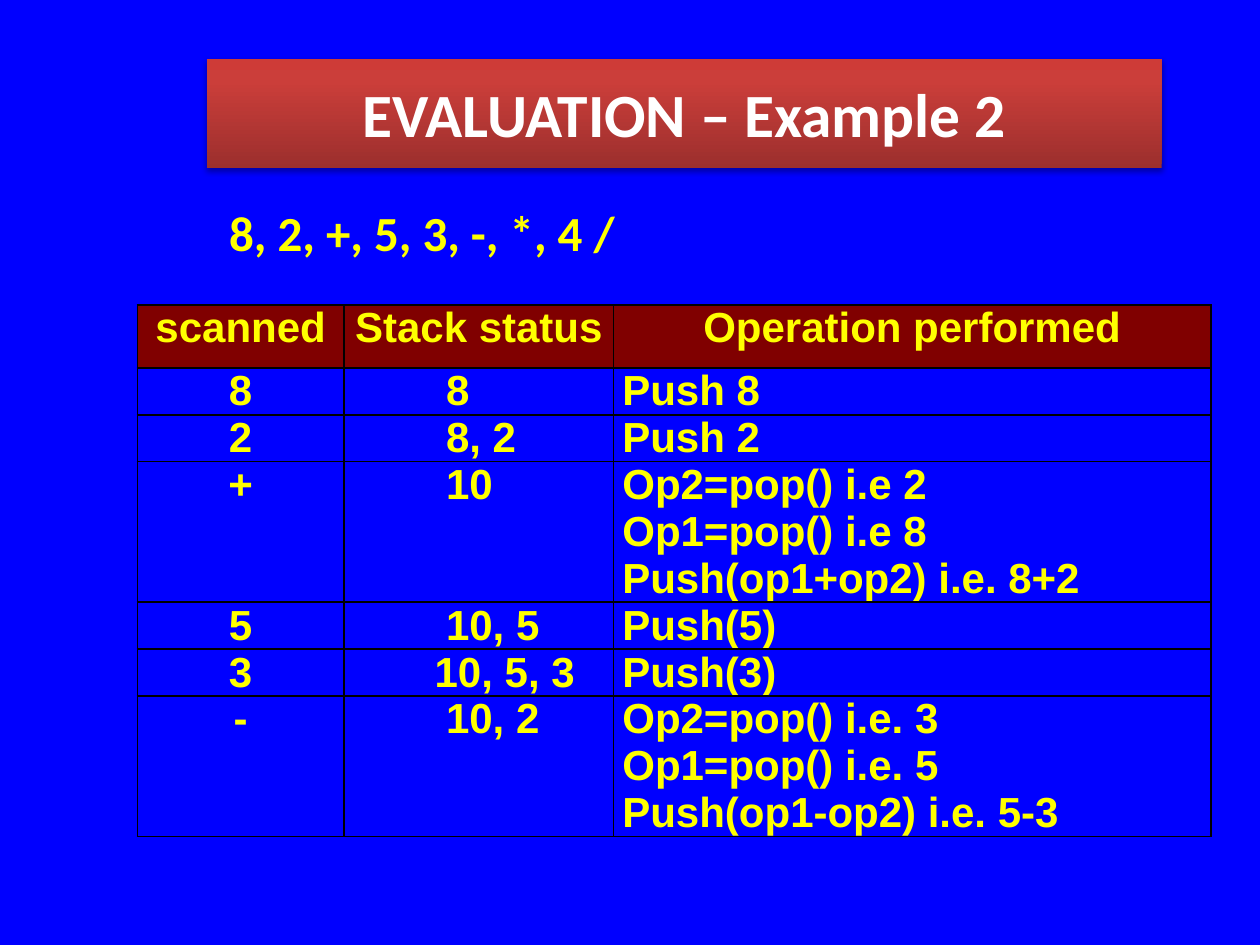
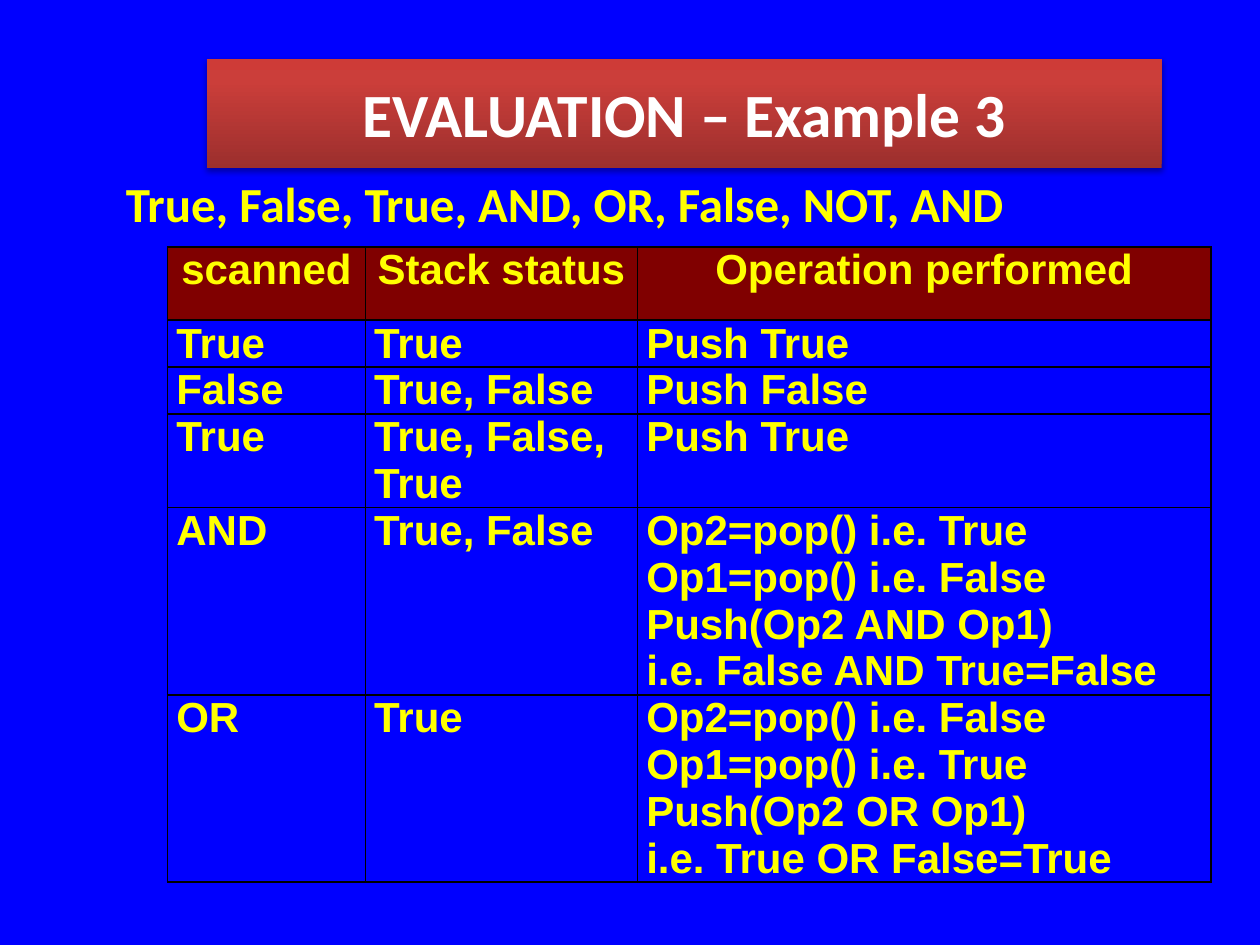
import pptx
import pptx.dml.color
import pptx.enum.text
import pptx.oxml
import pptx.oxml.ns
import pptx.util

Inches = pptx.util.Inches
Pt = pptx.util.Pt
RGBColor = pptx.dml.color.RGBColor
Align = pptx.enum.text.PP_ALIGN
Anchor = pptx.enum.text.MSO_ANCHOR
AutoSize = pptx.enum.text.MSO_AUTO_SIZE

BLUE = RGBColor(0x00, 0x00, 0xFF)
MAROON = RGBColor(0x80, 0x00, 0x00)
YELLOW = RGBColor(0xFF, 0xFF, 0x00)
WHITE = RGBColor(0xFF, 0xFF, 0xFF)
BLACK = RGBColor(0x00, 0x00, 0x00)
BAND_STOPS = [
    (0, RGBColor(0x9C, 0x2F, 0x2D)),
    (80, RGBColor(0xCB, 0x3E, 0x3A)),
    (100, RGBColor(0xCE, 0x3B, 0x37)),
]
NAMESPACE = pptx.oxml.ns.nsdecls("a")
HEADINGS = ["scanned", "Stack status", "Operation performed"]

ARITHMETIC_STEPS = [
    ("8", "8", "Push 8"),
    ("2", "8, 2", "Push 2"),
    ("+", "10", "Op2=pop() i.e 2\nOp1=pop() i.e 8\nPush(op1+op2) i.e. 8+2"),
    ("5", "10, 5", "Push(5)"),
    ("3", "10, 5, 3", "Push(3)"),
    ("-", "10, 2", "Op2=pop() i.e. 3\nOp1=pop() i.e. 5\nPush(op1-op2) i.e. 5-3"),
]
LOGIC_STEPS = [
    ("True", "True", "Push True"),
    ("False", "True, False", "Push False"),
    ("True", "True, False, True", "Push True"),
    ("AND", "True, False", "Op2=pop() i.e. True\nOp1=pop() i.e. False\n"
     "Push(Op2 AND Op1)\ni.e. False AND True=False"),
    ("OR", "True", "Op2=pop() i.e. False\nOp1=pop() i.e. True\n"
     "Push(Op2 OR Op1)\ni.e. True OR False=True"),
]


class EvaluationDeck:
    """Hold the shared style and the current slide of the evaluation examples."""

    def __init__(self):
        self.deck = pptx.Presentation()
        self.deck.slide_width = Inches(10)
        self.deck.slide_height = Inches(7.5)
        background = self.deck.slide_master.background.fill
        background.solid()
        background.fore_color.rgb = BLUE
        self.page = None

    def style(self, frame, name, size, color, align):
        for paragraph in frame.paragraphs:
            paragraph.alignment = align
            paragraph.font.name = name
            paragraph.font.size = Pt(size)
            paragraph.font.bold = True
            paragraph.font.color.rgb = color

    def add_page(self, title):
        self.page = self.deck.slides.add_slide(self.deck.slide_layouts[5])
        band = self.page.shapes.title
        band.left, band.top = Inches(1.64), Inches(0.47)
        band.width, band.height = Inches(7.58), Inches(0.86)
        frame = band.text_frame
        frame.text = title
        frame.auto_size = AutoSize.NONE
        frame.vertical_anchor = Anchor.MIDDLE
        self.style(frame, "Calibri", 35.1, WHITE, Align.CENTER)
        stops = "".join(
            f'<a:gs pos="{percent * 1000}"><a:srgbClr val="{color}"/></a:gs>'
            for percent, color in BAND_STOPS)
        properties = band.element.spPr
        properties.append(pptx.oxml.parse_xml(
            f'<a:gradFill {NAMESPACE}><a:gsLst>{stops}</a:gsLst>'
            '<a:lin ang="16200000" scaled="0"/></a:gradFill>'))
        properties.append(pptx.oxml.parse_xml(
            f'<a:effectLst {NAMESPACE}><a:outerShdw blurRad="{Pt(3.1)}" '
            f'dist="{Pt(1.8)}" dir="5400000" rotWithShape="0">'
            f'<a:srgbClr val="{BLACK}"><a:alpha val="35000"/></a:srgbClr>'
            '</a:outerShdw></a:effectLst>'))

    def add_expression(self, text, left, top, width):
        box = self.page.shapes.add_textbox(
            Inches(left), Inches(top), Inches(width), Inches(0.57))
        frame = box.text_frame
        frame.text = text
        frame.word_wrap = True
        frame.auto_size = AutoSize.SHAPE_TO_FIT_TEXT
        self.style(frame, "Calibri", 28, YELLOW, Align.LEFT)

    def add_border(self, cell):
        properties = cell._tc.get_or_add_tcPr()
        for position, side in enumerate("LRTB"):
            properties.insert(position, pptx.oxml.parse_xml(
                f'<a:ln{side} {NAMESPACE} w="{Pt(1)}"><a:solidFill>'
                f'<a:srgbClr val="{BLACK}"/></a:solidFill></a:ln{side}>'))

    def add_cell(self, cell, text, align, fill=None):
        cell.text = text
        cell.margin_left = cell.margin_right = Inches(0.07)
        cell.margin_top = cell.margin_bottom = 0
        if fill is None:
            cell.fill.background()
        else:
            cell.fill.solid()
            cell.fill.fore_color.rgb = fill
        self.add_border(cell)
        self.style(cell.text_frame, "Arial", 24, YELLOW, align)

    def add_steps(self, steps, left, top, widths, header_height, line_height,
                  symbol_align=Align.LEFT):
        heights = [header_height] + [
            line_height * len(operation.split("\n")) for _, _, operation in steps]
        table = self.page.shapes.add_table(
            len(heights), len(widths), Inches(left), Inches(top),
            Inches(sum(widths)), Inches(sum(heights))).table
        table.horz_banding = False
        for column, width in zip(table.columns, widths):
            column.width = Inches(width)
        for row, height in zip(table.rows, heights):
            row.height = Inches(height)
        for cell, heading in zip(table.rows[0].cells, HEADINGS):
            self.add_cell(cell, heading, Align.CENTER, MAROON)
        aligns = [symbol_align, Align.LEFT, Align.LEFT]
        for number, step in enumerate(steps, start=1):
            for cell, text, align in zip(table.rows[number].cells, step, aligns):
                self.add_cell(cell, text, align)
        return table

    def indent_stack(self, table):
        for number in range(1, len(table.rows)):
            cell = table.cell(number, 1)
            indent = 0.65 if cell.text.count(",") == 2 else 0.74
            properties = cell.text_frame.paragraphs[0]._p.get_or_add_pPr()
            properties.set("marL", str(Inches(indent)))


def main():
    show = EvaluationDeck()

    show.add_page("EVALUATION – Example 2")
    table = show.add_steps(ARITHMETIC_STEPS, 1.09, 2.42, [1.64, 2.14, 4.74],
                           0.5, 0.27, Align.CENTER)
    show.indent_stack(table)
    show.add_expression("8, 2, +, 5, 3, -, *, 4 /", 1.72, 1.56, 3.55)

    show.add_page("EVALUATION – Example 3")
    show.add_steps(LOGIC_STEPS, 1.33, 1.96, [1.57, 2.16, 4.55], 0.58, 0.3)
    show.add_expression("True, False, True, AND, OR, False, NOT, AND",
                        0.9, 1.33, 8.17)

    show.deck.save("out.pptx")


if __name__ == "__main__":
    main()
